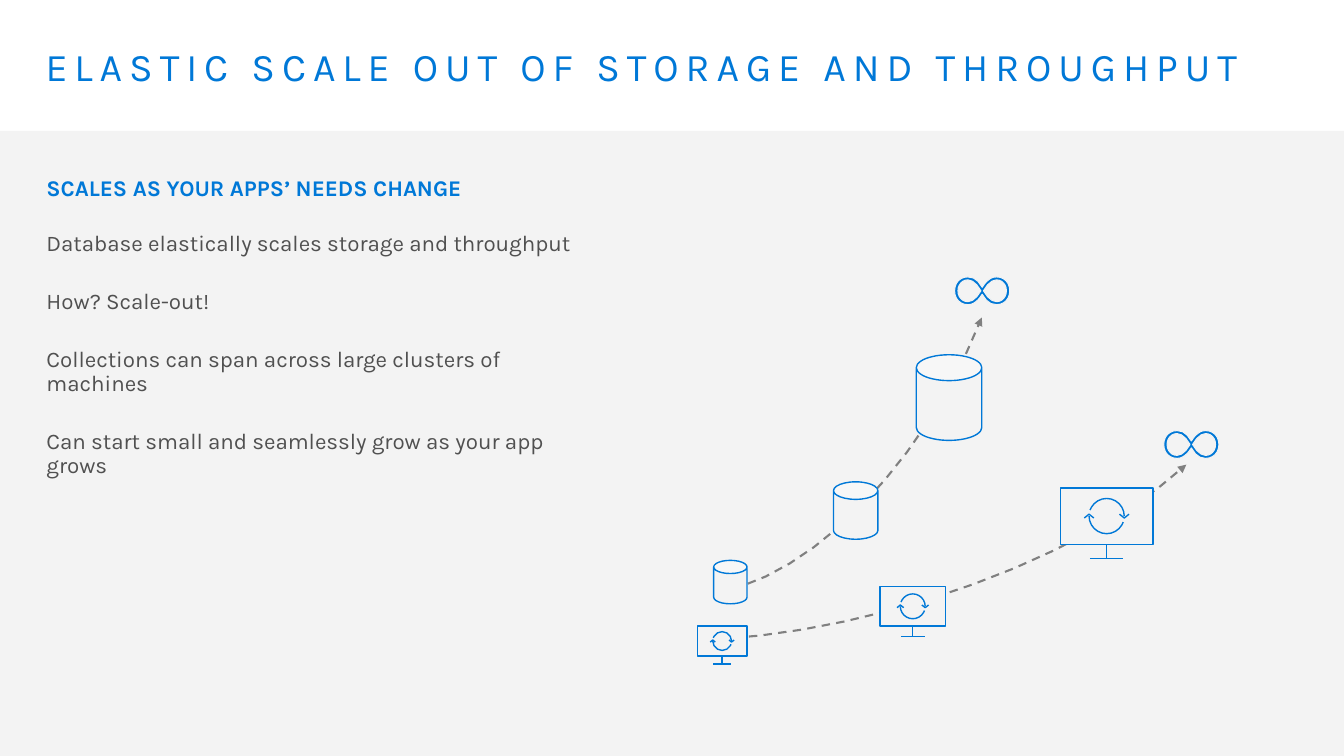
import lxml.etree
import pptx
import pptx.dml.color
import pptx.enum.dml
import pptx.enum.shapes
import pptx.enum.text
import pptx.oxml.ns
import pptx.util

Pt = pptx.util.Pt
qn = pptx.oxml.ns.qn
SHAPE = pptx.enum.shapes.MSO_SHAPE
BLUE, GRAY, PANEL, TEXT = "0078D7", "808080", "F3F3F3", "505050"


def paint(fill, color):
    fill.solid()
    fill.fore_color.rgb = pptx.dml.color.RGBColor.from_string(color)


def write(para, text, size=16, color=TEXT, bold=False, before=0, tracking=0):
    properties = para._p.get_or_add_pPr()
    properties.set("marL", "0")
    properties.set("indent", "0")
    lxml.etree.SubElement(properties, qn("a:buNone"))
    para.alignment = pptx.enum.text.PP_ALIGN.LEFT
    para.line_spacing = 0.9
    para.space_before = Pt(before)
    span = para.add_run()
    span.text = text
    span.font.name = "Karla"
    span.font.size = Pt(size)
    span.font.bold = bold
    paint(span.font.fill, color)
    if tracking:
        span.font._element.set("spc", str(tracking * 100))


deck = pptx.Presentation()
deck.slide_width, deck.slide_height = Pt(960), Pt(540)
page = deck.slides.add_slide(deck.slide_layouts[1])
title, body = page.placeholders

panel = page.shapes.add_shape(SHAPE.RECTANGLE, 0, Pt(93.5), Pt(960), Pt(446.5))
panel.shadow.inherit = False
paint(panel.fill, PANEL)
panel.line.fill.background()
panel.element.getparent().insert(2, panel.element)

for box, (left, top, width, height), inset_x, inset_y in [
    (title, (21, 26.5, 918, 70.5), 11.5, 7.2),
    (body, (26, 123, 394, 193), 7.2, 3.6),
]:
    box.left, box.top, box.width, box.height = Pt(left), Pt(top), Pt(width), Pt(height)
    frame = box.text_frame
    frame.word_wrap = True
    frame.auto_size = pptx.enum.text.MSO_AUTO_SIZE.NONE
    frame.vertical_anchor = pptx.enum.text.MSO_ANCHOR.TOP
    frame.margin_left = frame.margin_right = Pt(inset_x)
    frame.margin_top = frame.margin_bottom = Pt(inset_y)

write(title.text_frame.paragraphs[0], "ELASTIC SCALE OUT OF STORAGE AND THROUGHPUT",
      size=28, color=BLUE, tracking=5)
write(body.text_frame.paragraphs[0], "SCALES AS YOUR APPS’ NEEDS CHANGE", color=BLUE, bold=True)
for text, before in [
    ("Database elastically scales storage and throughput", 22),
    ("How? Scale-out!", 24),
    ("Collections can span across large clusters of machines", 24),
    ("Can start small and seamlessly grow as your app grows", 24),
]:
    write(body.text_frame.add_paragraph(), text, before=before)

storage_trail = [(514, 422.6), (577.4, 411.8), (658.8, 334.1), (701.3, 226.8)]
throughput_trail = [(514, 456.5), (627.1, 450), (772.6, 400.3), (847.4, 331.9)]
half_rim = [
    (0, -2.5), (1.4, -4.7), (2.9, -6.8), (4.7, -7.9), (6.5, -9.4), (8.3, -9.9), (10.2, -9.9),
    (13, -9.9), (15.1, -9), (17, -7.2), (18.7, -5.4), (19.7, -2.9), (19.7, 0),
    (19.7, 2.9), (18.7, 5.4), (17, 7.2), (15.1, 9), (13, 9.9), (10.2, 9.9),
    (5.8, 9.9), (2.9, 7.6), (0, 2.5),
]
right_hole = [
    (10.2, -7.8), (7.1, -7.8), (3.7, -5), (0.9, 0), (3.7, 5), (7.1, 7.8), (10.2, 7.8),
    (12.2, 7.8), (14, 7), (15.3, 5.5), (16.6, 4.1), (17.3, 2.3), (17.3, 0),
    (17.3, -2.3), (16.6, -4.1), (15.3, -5.5), (14, -7), (12.2, -7.8), (10.2, -7.8),
]
rim = half_rim + [(-x, -y) for x, y in half_rim[1:]]
left_hole = [(-x, -y) for x, y in right_hole]
infinity = [rim, right_hole, left_hole]

for left, top, contours, steps, is_trail in [
    (0, 0, [storage_trail], 12, True),
    (0, 0, [throughput_trail], 12, True),
    (701.6, 207.7, infinity, 3, False),
    (851, 317.5, infinity, 3, False),
]:
    builder = None
    for controls in contours:
        curve = [((left + controls[0][0]) * 100, (top + controls[0][1]) * 100)]
        for first in range(0, len(controls) - 1, 3):
            points = controls[first:first + 4]
            for step in range(1, steps + 1):
                t = step / steps
                weights = ((1 - t) ** 3, 3 * t * (1 - t) ** 2, 3 * t * t * (1 - t), t ** 3)
                x = left + sum(w * point[0] for w, point in zip(weights, points))
                y = top + sum(w * point[1] for w, point in zip(weights, points))
                curve.append((x * 100, y * 100))
        if builder is None:
            builder = page.shapes.build_freeform(*curve[0], scale=Pt(0.01))
        else:
            builder.move_to(*curve[0])
        builder.add_line_segments(curve[1:], close=not is_trail)
    shape = builder.convert_to_shape()
    shape.shadow.inherit = False
    if is_trail:
        shape.fill.background()
        paint(shape.line.fill, GRAY)
        shape.line.width = Pt(1.5)
        shape.line.dash_style = pptx.enum.dml.MSO_LINE.DASH
        lxml.etree.SubElement(shape.element.spPr.find(qn("a:ln")), qn("a:tailEnd"), type="triangle")
    else:
        paint(shape.fill, BLUE)
        paint(shape.line.fill, PANEL)
        shape.line.width = Pt(0.75)

filled, outlined, stands = [], [], []
for left, top, width, height in [
    (654.5, 253.4, 46.8, 61.2),
    (595.4, 344.2, 31.7, 41),
    (509.8, 400.3, 23.8, 31),
]:
    can = page.shapes.add_shape(SHAPE.CAN, Pt(left), Pt(top), Pt(width), Pt(height))
    can.adjustments[0] = 0.395
    filled.append(can)

for left, top, width, height in [
    (498.2, 447.1, 35.3, 21.6),
    (628.6, 419, 46.8, 28.2),
    (757.4, 348.5, 66.2, 40.3),
]:
    filled.append(page.shapes.add_shape(SHAPE.RECTANGLE, Pt(left), Pt(top), Pt(width), Pt(height)))
    center_x, center_y = left + width / 2, top + height / 2
    bottom = top + height
    foot, half_foot, radius = bottom + 0.155 * width, 0.18 * width, 0.19 * width
    for start_x, start_y, end_x, end_y in [
        (center_x, bottom, center_x, foot),
        (center_x - half_foot, foot, center_x + half_foot, foot),
    ]:
        stands.append(page.shapes.add_connector(
            pptx.enum.shapes.MSO_CONNECTOR.STRAIGHT,
            Pt(start_x), Pt(start_y), Pt(end_x), Pt(end_y)))
    for side, start_angle, end_angle in [(1, 20, 180), (-1, 200, 0)]:
        arc = page.shapes.add_shape(SHAPE.ARC, Pt(center_x - radius), Pt(center_y - radius),
                                    Pt(2 * radius), Pt(2 * radius))
        arc.adjustments[0] = start_angle * 0.6
        arc.adjustments[1] = end_angle * 0.6
        tip_x, wing, drop = center_x + side * radius, 0.27 * radius, side * 0.11 * radius
        chevron = [(x * 100, y * 100) for x, y in [
            (tip_x - wing, center_y - drop),
            (tip_x, center_y + drop),
            (tip_x + wing, center_y - drop),
        ]]
        builder = page.shapes.build_freeform(*chevron[0], scale=Pt(0.01))
        builder.add_line_segments(chevron[1:], close=False)
        outlined += [arc, builder.convert_to_shape()]

for shape in filled:
    paint(shape.fill, PANEL)
for shape in outlined:
    shape.fill.background()
for shape in filled + outlined:
    shape.shadow.inherit = False
for line in stands:
    lxml.etree.SubElement(line.element.spPr, qn("a:effectLst"))
for shape in filled + outlined + stands:
    paint(shape.line.fill, BLUE)
    shape.line.width = Pt(1)

deck.save("out.pptx")
